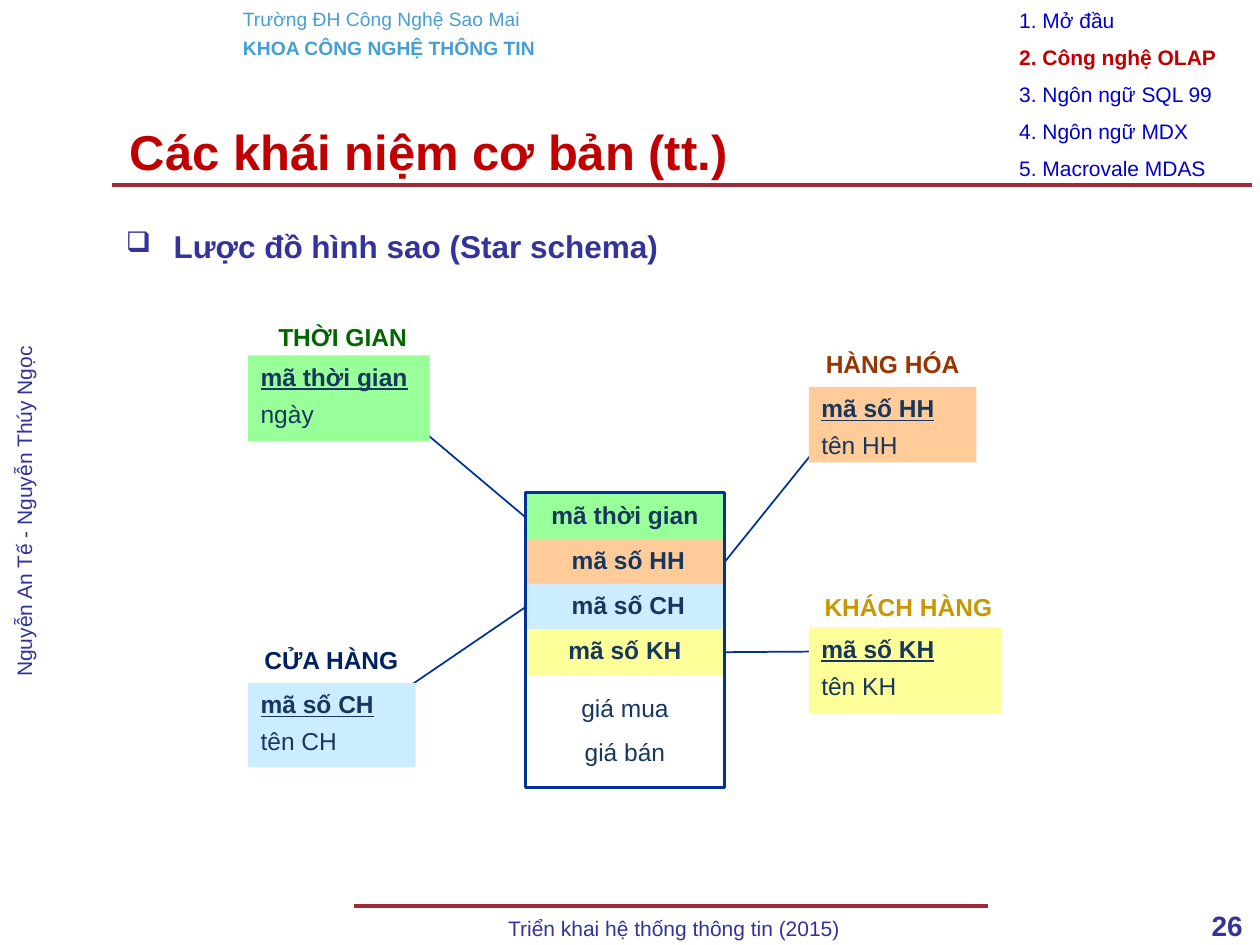
from lxml import etree
from pptx import Presentation
from pptx import util as u
from pptx.dml import color
from pptx.enum import shapes, text
from pptx.oxml import ns

COLUMNS, ROWS = 100, 75
LEFT, CENTER, RIGHT = text.PP_ALIGN.LEFT, text.PP_ALIGN.CENTER, text.PP_ALIGN.RIGHT
NAVY, INDIGO, RED, MAROON, LINK = "17375E", "333399", "C00000", "9F2936", "003399"
TIME, GOODS, STORE, CLIENT = "99FF99", "FFCC99", "CCECFF", "FFFF99"


def rgb(value):
    return color.RGBColor.from_string(value)


def apply(target, values):
    for key, value in values.items():
        setattr(target, key, value)


def grid(*lengths):
    return [u.Inches(round(length / 10, 3)) for length in lengths]


def write(frame, lines, align=LEFT, gap=0, wrap=True, anchor=text.MSO_ANCHOR.TOP):
    apply(frame, {"word_wrap": wrap, "vertical_anchor": anchor})
    for index, (words, size, ink, extras) in enumerate(lines):
        paragraph = frame.add_paragraph() if index else frame.paragraphs[0]
        apply(paragraph, {"alignment": align, "space_before": u.Pt(gap)})
        run = paragraph.add_run()
        run.text = words
        apply(run.font, {"name": "Arial", "size": u.Pt(size), "bold": False, **extras})
        run.font.color.rgb = rgb(ink)


def label(slide, box, lines, **layout):
    caption = slide.shapes.add_textbox(*grid(*box))
    write(caption.text_frame, lines, **layout)
    return caption


def block(slide, box, fill=None, edge=None):
    area = slide.shapes.add_shape(shapes.MSO_SHAPE.RECTANGLE, *grid(*box))
    area.shadow.inherit = False
    if fill:
        area.fill.solid()
        area.fill.fore_color.rgb = rgb(fill)
    else:
        area.fill.background()
    if edge:
        area.line.color.rgb = rgb(edge)
        area.line.width = u.Pt(1.5)
    else:
        area.line.fill.background()
    return area


def rule(slide, start, end, ink, width):
    line = slide.shapes.add_connector(shapes.MSO_CONNECTOR.STRAIGHT, *grid(*start, *end))
    line.line.color.rgb = rgb(ink)
    line.line.width = u.Pt(width)
    etree.SubElement(line._element.spPr, ns.qn("a:effectLst"))
    return line


def school(slide, box):
    ink = "459FD7"
    label(slide, box, [("Trường ĐH Công Nghệ Sao Mai", 11, ink, {}),
                       ("KHOA CÔNG NGHỆ THÔNG TIN", 11, ink, {"bold": True})], gap=3.4)


def authors(slide, box):
    names = label(slide, box, [("Nguyễn An Tế - Nguyễn Thúy Ngọc", 12, INDIGO, {})], align=CENTER)
    names.rotation = 270


def footer(slide, box):
    x, y, w, h = box
    rule(slide, (x, y), (x + 50.3, y), MAROON, 2)
    label(slide, (x + 0.6, y + 0.3, 49.6, h),
          [("Triển khai hệ thống thông tin (2015)", 12, INDIGO, {})], align=CENTER)
    label(slide, (x + w - 10.2, y - 0.3, 10.2, h),
          [("26", 16, INDIGO, {"bold": True})], align=RIGHT)


def heading(slide, box):
    x, y, w, h = box
    rule(slide, (x - 0.4, y + 6.3), (x + 90.1, y + 6.3), MAROON, 2)
    title = slide.shapes.title
    apply(title, dict(zip(("left", "top", "width", "height"), grid(*box))))
    write(title.text_frame, [("Các khái niệm cơ bản (tt.)", 28, RED, {"bold": True})],
          anchor=text.MSO_ANCHOR.MIDDLE)


def topic(slide, box):
    point = label(slide, box, [("Lược đồ hình sao (Star schema)", 18, INDIGO, {"bold": True})])
    paragraph = point.text_frame.paragraphs[0]
    paragraph.line_spacing = 1.25
    props = paragraph._p.get_or_add_pPr()
    props.set("marL", str(u.Inches(0.38)))
    props.set("indent", str(-u.Inches(0.38)))
    tint = etree.SubElement(props, ns.qn("a:buClr"))
    etree.SubElement(tint, ns.qn("a:srgbClr"), val=INDIGO)
    etree.SubElement(props, ns.qn("a:buSzPct"), val="90000")
    etree.SubElement(props, ns.qn("a:buChar"), char="❑")


def agenda(slide, box, chapters, current):
    x, y, w, h = box
    pitch = h / len(chapters)
    for index, chapter in enumerate(chapters):
        active = index == current
        label(slide, (x, y + index * pitch, w, pitch + 0.1),
              [(f"{index + 1}. {chapter}", 12, RED if active else "0000CC", {"bold": active})],
              wrap=False)


def fact(slide, box, links):
    x, y, w, h = box
    pitch, row = 3.57, 3.7
    keys = [("mã thời gian", TIME), (" mã số HH", GOODS), (" mã số CH", STORE), ("mã số KH", CLIENT)]
    cells = []
    for index, (key, fill) in enumerate(keys):
        cell = block(slide, (x, y + 0.1 + index * pitch, w, row), fill)
        write(cell.text_frame, [(key, 14, NAVY, {"bold": True})], align=CENTER)
        cells.append(cell)
    for index, measure in enumerate(("giá mua", "giá bán")):
        label(slide, (x, y + 15.4 + index * 3.5, w, row), [(measure, 14, NAVY, {})], align=CENTER)
    for cell, (side, end) in zip(cells, links):
        rule(slide, (x, y), end, LINK, 1).begin_connect(cell, side)
    block(slide, box, edge=LINK)


def dimension(slide, box, name, ink, fill, fields, caption):
    x, y, w, h = box
    shift, rise, width = caption
    key, attribute = fields
    table = block(slide, box, fill)
    write(table.text_frame, [(key, 14, NAVY, {"bold": True, "underline": True}),
                             (attribute, 14, NAVY, {})], gap=4.4)
    label(slide, (x + shift, y - rise, width, 3.5), [(name, 14, ink, {"bold": True})], align=CENTER)


def star_schema(slide, box):
    x, y, w, h = box
    left, right = x, x + 44.5
    fact(slide, (x + 22, y + 14, 15.8, 23.4),
         [(1, (x + 12.8, y + 8.2)), (3, (x + 47, y + 8.1)),
          (1, (x + 12, y + 29.9)), (3, (x + 47, y + 26.6))])
    dimension(slide, (left, y + 3.1, 14.4, 6.8), "THỜI GIAN", "006600", TIME,
              ("mã thời gian", "ngày"), (0.2, 3.1, 14.6))
    dimension(slide, (left, y + 29.1, 13.3, 6.7), "CỬA HÀNG", "002060", STORE,
              ("mã số CH", "tên CH"), (-0.5, 3.5, 14.2))
    dimension(slide, (right, y + 24.7, 15.3, 6.8), "KHÁCH HÀNG", "C89800", CLIENT,
              ("mã số KH", "tên KH"), (0, 3.3, 15.8))
    dimension(slide, (right, y + 5.6, 13.3, 6), "HÀNG HÓA", "993300", GOODS,
              ("mã số HH", "tên HH"), (0, 3.5, 13.3))


def main():
    deck = Presentation()
    deck.slide_width, deck.slide_height = grid(COLUMNS, ROWS)
    slide = deck.slides.add_slide(deck.slide_layouts[5])
    school(slide, (18.3, 0.1, 28, 5.2))
    authors(slide, (-11.3, 38.1, 28.4, 5))
    footer(slide, (28.1, 71.9, 71.5, 2.7))
    heading(slide, (9.3, 8.4, 70.1, 7.1))
    topic(slide, (9, 16.8, 89.8, 5))
    star_schema(slide, (19.7, 25.1, 60.3, 37.4))
    agenda(slide, (79.9, 0.1, 19.7, 14.65),
           ["Mở đầu", "Công nghệ OLAP", "Ngôn ngữ SQL 99", "Ngôn ngữ MDX", "Macrovale MDAS"], 1)
    deck.save("out.pptx")


if __name__ == "__main__":
    main()
